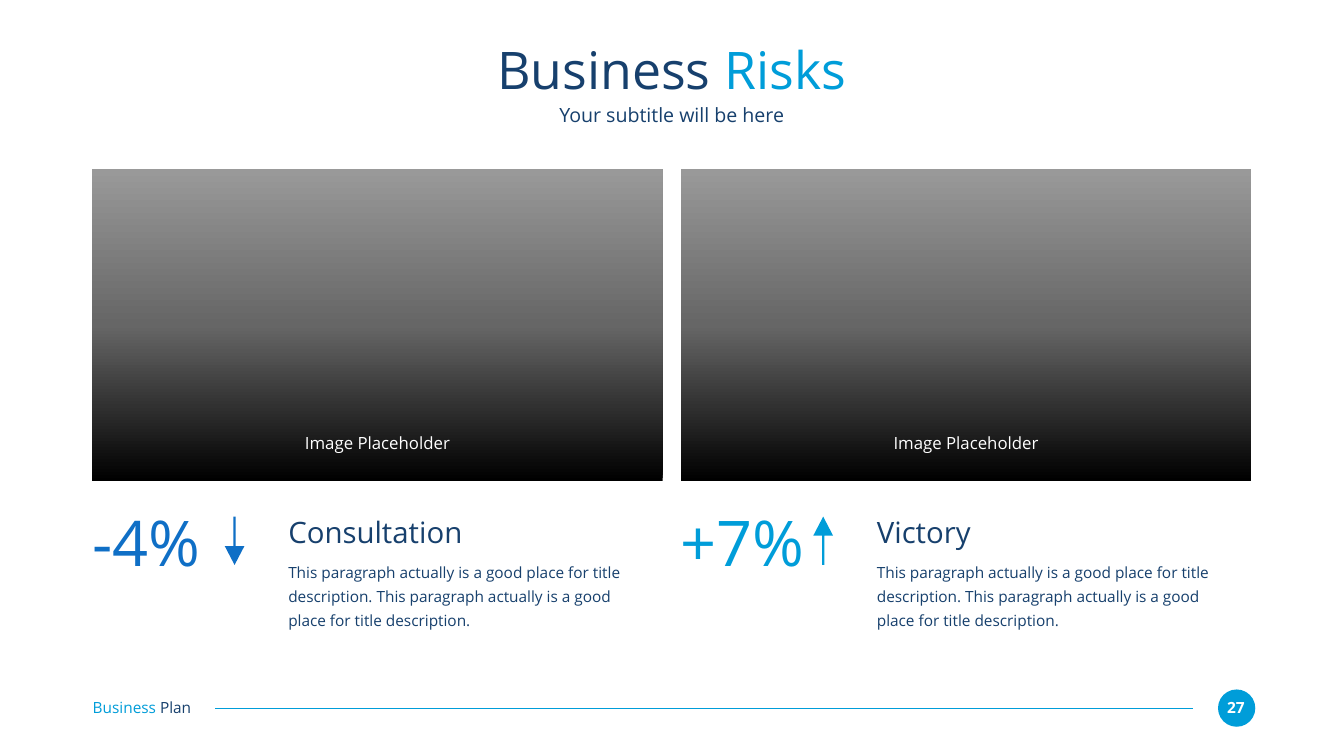
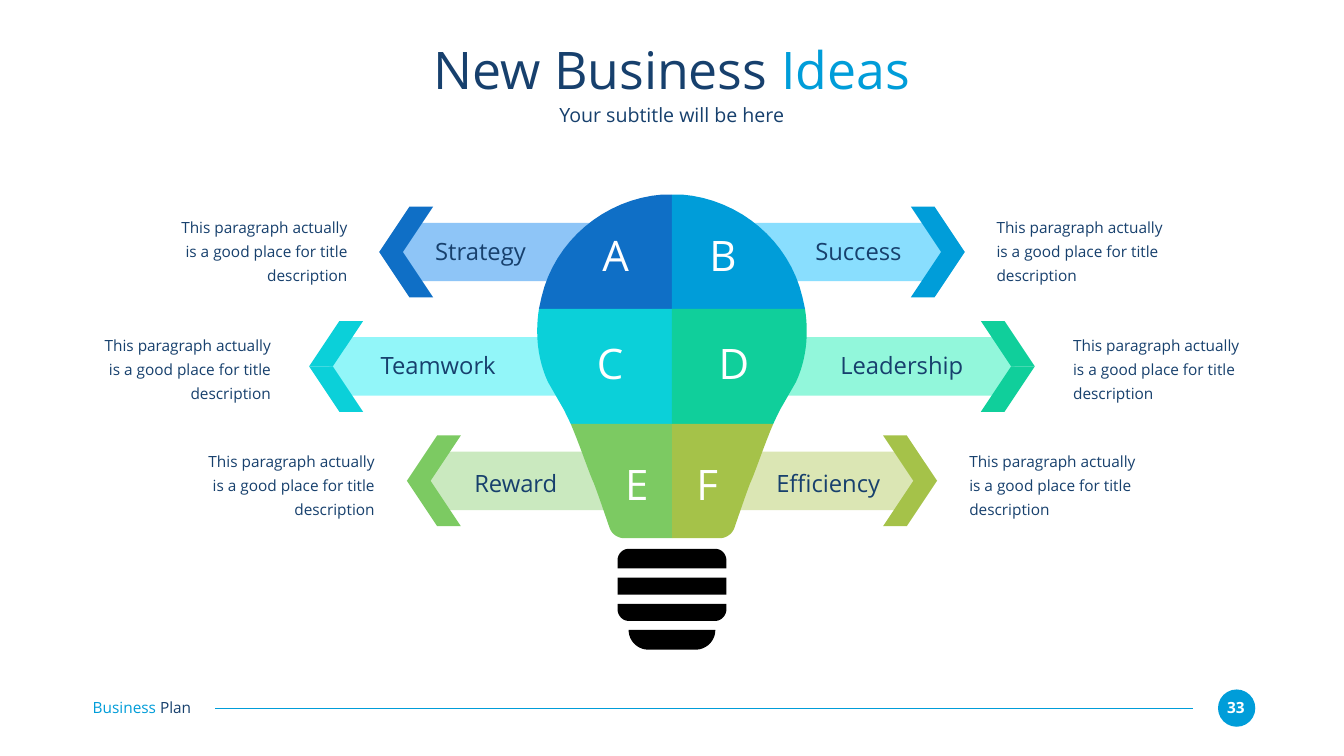
from copy import deepcopy

from lxml import etree
from pptx import Presentation
from pptx.dml.color import RGBColor
from pptx.enum import shapes as shp, text as txt
from pptx.oxml import ns
from pptx.util import Inches, Pt

NAVY = RGBColor(0x17, 0x40, 0x6D)
BLUE = RGBColor(0x0F, 0x6F, 0xC6)
SKY = RGBColor(0x00, 0x9D, 0xD9)
AQUA = RGBColor(0x0B, 0xD0, 0xD9)
MINT = RGBColor(0x10, 0xCF, 0x9B)
GREEN = RGBColor(0x7C, 0xCA, 0x62)
OLIVE = RGBColor(0xA5, 0xC2, 0x49)
PALE_BLUE = RGBColor(0x8E, 0xC5, 0xF7)
PALE_SKY = RGBColor(0x89, 0xDE, 0xFE)
PALE_AQUA = RGBColor(0x92, 0xF6, 0xF9)
PALE_MINT = RGBColor(0x92, 0xF7, 0xDB)
PALE_GREEN = RGBColor(0xCA, 0xE9, 0xBF)
PALE_OLIVE = RGBColor(0xDB, 0xE6, 0xB4)
BLACK = RGBColor(0, 0, 0)
DARK = RGBColor(0x66, 0x66, 0x66)
GREY = RGBColor(0x99, 0x99, 0x99)
WHITE = RGBColor(0xFF, 0xFF, 0xFF)

FONT = "Open Sans"
LEFT, CENTER, RIGHT = (txt.PP_ALIGN.LEFT, txt.PP_ALIGN.CENTER,
                       txt.PP_ALIGN.RIGHT)
AXIS = 13.335
BLURB = "This paragraph actually is a good place for title description"

# Half outlines of the bulb as (offset from axis, y); six numbers are a curve.
BULB = [
    [(0, 6.13), (0, 3.86), (0.19, 3.86), (1.34, 3.95, 2.33, 4.78, 2.59, 5.9),
     (2.64, 6.13)],
    [(0, 6.13), (2.64, 6.13), (2.72, 6.65, 2.66, 7.15, 2.46, 7.58),
     (2.15, 8.12), (2.11, 8.2, 2.06, 8.3, 2.01, 8.41), (0, 8.41)],
    [(0, 8.41), (2.01, 8.41), (1.83, 8.83, 1.64, 9.4, 1.55, 9.59),
     (1.48, 9.77, 1.34, 10.18, 1.24, 10.47),
     (1.2, 10.59, 1.08, 10.68, 0.94, 10.68), (0, 10.68)],
]
SOCKET = [
    [(0, 10.89), (0.86, 10.89), (0.98, 10.89, 1.08, 10.99, 1.08, 11.12),
     (1.08, 11.28), (0, 11.28)],
    [(0, 11.46), (1.08, 11.46), (1.08, 11.8), (0, 11.8)],
    [(0, 11.98), (1.08, 11.98), (1.08, 12.09),
     (1.08, 12.21, 0.98, 12.32, 0.86, 12.32), (0, 12.32)],
    [(0, 12.5), (0.86, 12.5), (0.86, 12.72, 0.68, 12.89, 0.47, 12.89),
     (0, 12.89)],
]

# Bar start and arrow tip, blurb offset and top, label width and top, letter top
ROWS = [
    (0.64, 5.81, 6.44, 4.23, 2.68, 4.7, 4.55),
    (0.64, 7.2, 7.96, 6.58, 3.7, 6.95, 6.69),
    (0.09, 5.26, 5.9, 8.88, 2.68, 9.3, 9.09),
]
# Label and its offset, letter and its offset, colour, bar colour
IDEAS = {
    -1: [("Strategy", 3.8, "A", 1.12, BLUE, PALE_BLUE),
         ("Teamwork", 4.64, "C", 1.23, AQUA, PALE_AQUA),
         ("Reward", 3.1, "E", 0.7, GREEN, PALE_GREEN)],
    1: [("Success", 3.7, "B", 1.01, SKY, PALE_SKY),
        ("Leadership", 4.56, "D", 1.23, MINT, PALE_MINT),
        ("Efficiency", 3.1, "F", 0.7, OLIVE, PALE_OLIVE)],
}


def assign(item, **values):
    for name, value in values.items():
        setattr(item, name, value)


def write(slide, box, runs, size, align=LEFT, lines=None, bold=False):
    """Add one paragraph made of (words, colour) runs."""
    frame = slide.shapes.add_textbox(*map(Inches, box)).text_frame
    assign(frame, word_wrap=True, margin_left=0, margin_right=0, margin_top=0,
           margin_bottom=0, vertical_anchor=txt.MSO_ANCHOR.MIDDLE)
    para = frame.paragraphs[0]
    assign(para, alignment=align, line_spacing=lines)
    for words, color in runs:
        run = para.add_run()
        run.text = words
        assign(run.font, name=FONT, size=Pt(size), bold=bold)
        run.font.color.rgb = color


def paint(shape, color):
    shape.shadow.inherit = False
    shape.line.fill.background()
    shape.fill.solid()
    shape.fill.fore_color.rgb = color
    return shape


def preset(slide, kind, box, color):
    return paint(slide.shapes.add_shape(kind, *map(Inches, box)), color)


def rule(slide, start, end, color):
    line = slide.shapes.add_connector(shp.MSO_CONNECTOR.STRAIGHT,
                                      *map(Inches, start + end))
    line.line.color.rgb = color
    line.line.width = Pt(1.5)
    etree.SubElement(line._element.spPr, ns.qn("a:effectLst"))


def trace(steps, count=16):
    """Turn points and Bezier steps into a list of points."""
    points = []
    for step in steps:
        if len(step) == 2:
            points.append(step)
            continue
        knots = [points[-1], step[:2], step[2:4], step[4:]]
        for i in range(1, count + 1):
            t = i / count
            s = 1 - t
            parts = (s ** 3, 3 * s * s * t, 3 * s * t * t, t ** 3)
            points.append(tuple(sum(w * k[n] for w, k in zip(parts, knots))
                                for n in (0, 1)))
    return points


def outline(slide, rings, color, side=1):
    """Fill closed rings given as (offset from axis, y) points."""
    rings = [[(Inches(AXIS + side * x), Inches(y)) for x, y in ring]
             for ring in rings]
    build = slide.shapes.build_freeform(*rings[0][0], scale=1.0)
    for i, ring in enumerate(rings):
        if i:
            build.move_to(*ring[0])
        build.add_line_segments(ring[1:], close=True)
    paint(build.convert_to_shape(), color)


def frame(deck, lead, accent, page):
    """Add a slide with its title, subtitle and footer."""
    slide = deck.slides.add_slide(deck.slide_layouts[6])
    preset(slide, shp.MSO_SHAPE.OVAL, (24.17, 13.68, 0.74, 0.74), SKY)
    write(slide, (24.23, 13.85, 0.59, 0.37), [(str(page), WHITE)], 22,
          CENTER, bold=True)
    rule(slide, (23.67, 14.05), (4.27, 14.05), SKY)
    write(slide, (1.84, 13.84, 2.59, 0.37),
          [("Business ", SKY), ("Plan", NAVY)], 22)
    write(slide, (1.83, 0.73, 23, 1.27), [(lead, NAVY), (accent, SKY)], 74,
          CENTER)
    write(slide, (1.83, 2.03, 23, 0.49),
          [("Your subtitle will be here", NAVY)], 28, CENTER)
    return slide


def photo(slide, left):
    """Add a shaded panel that holds the place of a photo."""
    panel = preset(slide, shp.MSO_SHAPE.RECTANGLE, (left, 3.36, 11.32, 6.18),
                   BLACK)
    panel.fill.gradient()
    panel.fill.gradient_angle = 90
    stop = panel._element.spPr.find(".//" + ns.qn("a:gs"))
    stop.addnext(deepcopy(stop))
    shades = zip(panel.fill.gradient_stops, (0, 0.5, 1), (BLACK, DARK, GREY))
    for stop, place, color in shades:
        stop.position = place
        stop.color.rgb = color
    write(slide, (left + 2.14, 8.59, 7.04, 0.4),
          [("Image Placeholder", WHITE)], 24, CENTER)


def risk(slide, left, value, name, color, turn):
    write(slide, (left + 3.89, 10.19, 6.92, 0.71), [(name, NAVY)], 42)
    write(slide, (left + 3.89, 11.07, 6.92, 1.4),
          [(f"{BLURB}. {BLURB}.", NAVY)], 22, lines=1.3)
    write(slide, (left, 9.98, 2.55, 1.51), [(value, color)], 90)
    arrow = preset(slide, shp.MSO_SHAPE.DOWN_ARROW,
                   (left + 2.63, 10.25, 0.39, 0.96), color)
    arrow.adjustments[0] = 0.11
    arrow.adjustments[1] = 0.961
    arrow.rotation = turn
    photo(slide, left)


def ribbon(slide, side, row, color, pale):
    """Add a pale bar and the two halves of its arrowhead."""
    start, tip = ROWS[row][:2]
    mid = 5 + 2.27 * row
    outline(slide, [[(start, mid - 0.58), (tip - 0.75, mid - 0.58),
                     (tip - 0.4, mid), (tip - 0.75, mid + 0.58),
                     (start, mid + 0.58)]], pale, side)
    for end in (mid - 0.9, mid + 0.9):
        outline(slide, [[(tip, mid), (tip - 0.47, mid), (tip - 1.07, end),
                         (tip - 0.6, end)]], color, side)


def label(slide, side, offset, top, width, height, words, size, color):
    """Centre words at an offset from the axis."""
    left = AXIS + side * offset - width / 2
    write(slide, (left, top, width, height), [(words, color)], size, CENTER)


def idea(slide, side, row, name, spot, letter, place, color):
    """Add one part of the bulb with its letter, label and blurb."""
    gap, top, width, high, rise = ROWS[row][2:]
    outline(slide, [trace(BULB[row])], color, side)
    left = AXIS + gap if side > 0 else AXIS - gap - 3.54
    write(slide, (left, top, 3.54, 1.4), [(BLURB, NAVY)], 22,
          LEFT if side > 0 else RIGHT, 1.3)
    label(slide, side, place, rise, 1.07, 1.01, letter, 60, WHITE)
    label(slide, side, spot, high, width, 0.57, name, 34, NAVY)


def socket(slide):
    halves = [trace(steps) for steps in SOCKET]
    outline(slide, [half + [(-x, y) for x, y in reversed(half)]
                    for half in halves], BLACK)


def main():
    deck = Presentation()
    assign(deck, slide_width=Inches(26.67), slide_height=Inches(15))

    risks = frame(deck, "Business ", "Risks", 27)
    risk(risks, 1.83, "-4%", "Consultation", BLUE, 0)
    risk(risks, 13.51, "+7%", "Victory", SKY, 180)

    ideas = frame(deck, "New Business ", "Ideas", 33)
    for side, items in IDEAS.items():
        for row, item in enumerate(items):
            ribbon(ideas, side, row, *item[4:])
    for side, items in IDEAS.items():
        for row, item in enumerate(items):
            idea(ideas, side, row, *item[:5])
    socket(ideas)

    deck.save("out.pptx")


if __name__ == "__main__":
    main()
